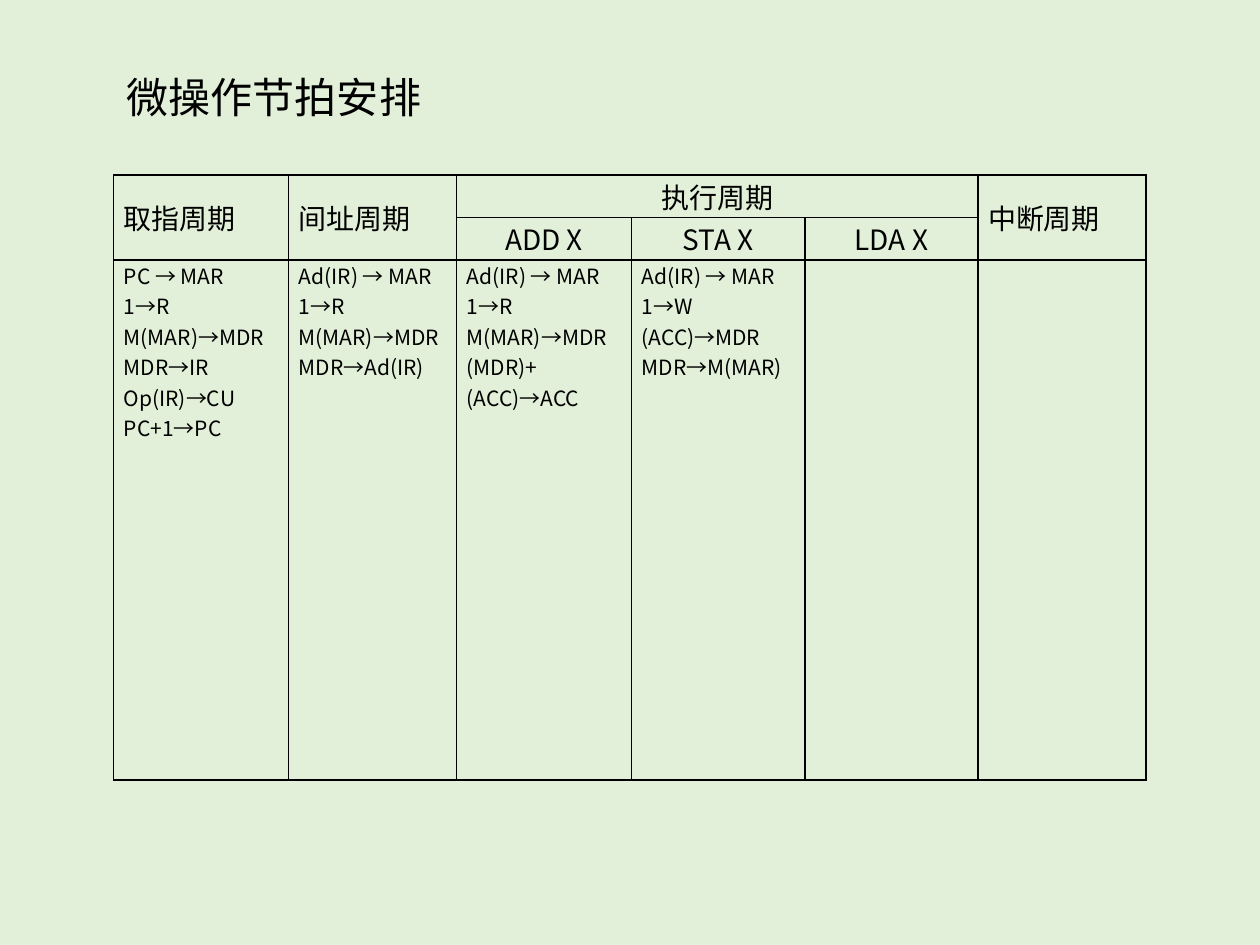
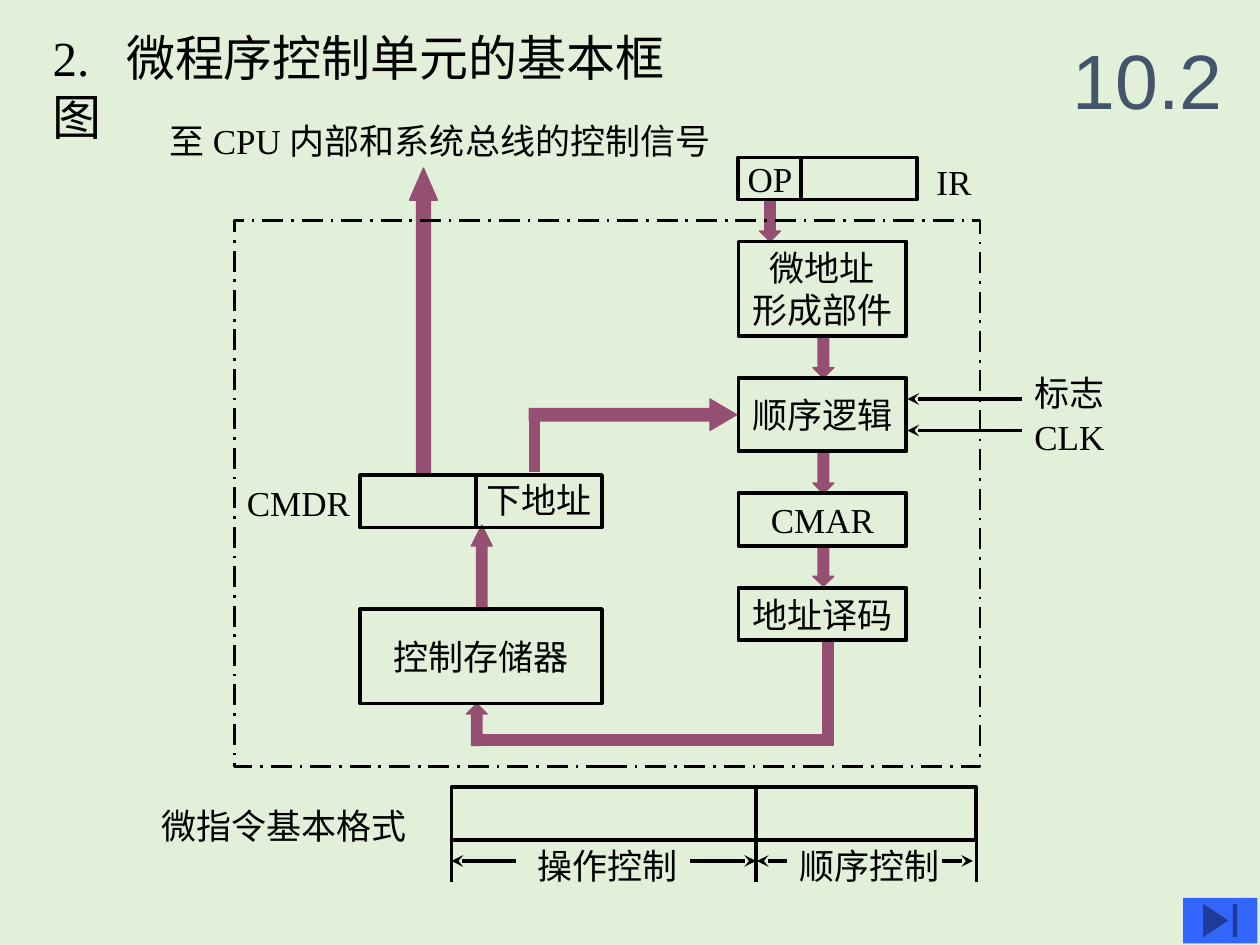
"""Build two slides: a micro-operation timing table and a microprogrammed control unit diagram."""
from lxml import etree
from pptx import Presentation
from pptx import util as u
from pptx.dml import color
from pptx.enum import dml, shapes, text
from pptx.oxml import ns

Pt = u.Pt
hue = color.RGBColor.from_string
INK, PAPER, FLOW, BUTTON, SLATE = "000000", "E2F0D9", "954F72", "3366FF", "44546A"
SANS, SERIF = "Noto Sans CJK SC", "Times New Roman"
LEFT, CENTER, JUSTIFY = text.PP_ALIGN.LEFT, text.PP_ALIGN.CENTER, text.PP_ALIGN.JUSTIFY
MIDDLE, TOP = text.MSO_ANCHOR.MIDDLE, text.MSO_ANCHOR.TOP
LABEL = {"word_wrap": False, "auto_size": text.MSO_AUTO_SIZE.SHAPE_TO_FIT_TEXT}
WRAPPED = {"word_wrap": True}
BOXED = {"word_wrap": False, "vertical_anchor": MIDDLE}


def write(frame, lines, frame_format, size=20, name=SERIF, alignment=LEFT, ink=INK):
    for key, value in frame_format.items():
        setattr(frame, key, value)
    for index, line in enumerate(lines.split("\n")):
        paragraph = frame.add_paragraph() if index else frame.paragraphs[0]
        paragraph.alignment = alignment
        run = paragraph.add_run()
        run.text = line
        for key, value in {"size": Pt(size), "name": name, "bold": False}.items():
            setattr(run.font, key, value)
        run.font.color.rgb = hue(ink)
        etree.SubElement(run.font._element, ns.qn("a:ea"), typeface=SANS)


def draw(slide, kind, box, fill=None, line=None, width=2.25):
    shape = slide.shapes.add_shape(kind, *map(Pt, box))
    shape.shadow.inherit = False
    for part, tint in ((shape.fill, fill), (shape.line.fill, line)):
        if tint:
            part.solid()
            part.fore_color.rgb = hue(tint)
        else:
            part.background()
    if line:
        shape.line.width = Pt(width)
    return shape


presentation = Presentation()
presentation.slide_width, presentation.slide_height = Pt(720), Pt(540)
timing, diagram = [presentation.slides.add_slide(presentation.slide_layouts[6]) for _ in range(2)]
for slide in (timing, diagram):
    slide.background.fill.solid()
    slide.background.fill.fore_color.rgb = hue(PAPER)

column_widths = [100, 96, 100, 99, 99, 96]
row_heights = [24.3, 24.3, 297]
table_box = (65, 100, sum(column_widths), sum(row_heights))
table = timing.shapes.add_table(3, 6, *map(Pt, table_box)).table
table.first_row = table.horz_banding = False
for column, width in zip(table.columns, column_widths):
    column.width = Pt(width)
for row, height in zip(table.rows, row_heights):
    row.height = Pt(height)
for cell in table.iter_cells():
    properties = cell._tc.get_or_add_tcPr()
    for side in ("lnL", "lnR", "lnT", "lnB"):
        border = etree.SubElement(properties, ns.qn("a:" + side), w=str(Pt(1)))
        border_fill = etree.SubElement(border, ns.qn("a:solidFill"))
        etree.SubElement(border_fill, ns.qn("a:srgbClr"), val=INK)
    cell.fill.background()
    margins = {"margin_left": 5.76, "margin_right": 5.76, "margin_top": 0, "margin_bottom": 0}
    for key, value in margins.items():
        setattr(cell, key, Pt(value))
for column in (0, 1, 5):
    table.cell(0, column).merge(table.cell(1, column))
table.cell(0, 2).merge(table.cell(0, 4))

headings = [
    (0, 0, "取指周期", JUSTIFY), (0, 1, "间址周期", JUSTIFY),
    (0, 2, "执行周期", CENTER), (0, 5, "中断周期", JUSTIFY),
    (1, 2, "ADD X", CENTER), (1, 3, "STA X", CENTER), (1, 4, "LDA X", CENTER),
]
for row, column, heading, alignment in headings:
    cell = table.cell(row, column)
    cell.vertical_anchor = MIDDLE
    write(cell.text_frame, heading, {}, 16, SANS, alignment)
operations = [
    "PC → MAR\n1→R\nM(MAR)→MDR\nMDR→IR\nOp(IR)→CU\nPC+1→PC",
    "Ad(IR) → MAR\n1→R\nM(MAR)→MDR\nMDR→Ad(IR)",
    "Ad(IR) → MAR\n1→R\nM(MAR)→MDR\n(MDR)+(ACC)→ACC",
    "Ad(IR) → MAR\n1→W\n(ACC)→MDR\nMDR→M(MAR)",
]
for column, steps in enumerate(operations):
    write(table.cell(2, column).text_frame, steps, {}, 12, SANS, JUSTIFY)

timing_title = timing.shapes.add_textbox(*map(Pt, (65.5, 37.5, 402, 36)))
write(timing_title.text_frame, "微操作节拍安排", WRAPPED, 24, SANS)

diagram_title = diagram.shapes.add_textbox(*map(Pt, (23, 12.2, 387, 41)))
title_paragraph = diagram_title.text_frame.paragraphs[0]
tabs = etree.SubElement(title_paragraph._p.get_or_add_pPr(), ns.qn("a:tabLst"))
etree.SubElement(tabs, ns.qn("a:tab"), pos=str(Pt(42)), algn="l")
write(diagram_title.text_frame, "2.\t微程序控制单元的基本框图", WRAPPED, 28)

KIND = shapes.MSO_SHAPE
arrows = [
    (KIND.DOWN_ARROW, (434, 114, 12, 24), 0.5, 0.5),
    (KIND.DOWN_ARROW, (464.5, 192, 12, 24), 0.5, 0.5),
    (KIND.DOWN_ARROW, (464.5, 258, 12, 24), 0.5, 0.5),
    (KIND.DOWN_ARROW, (464.5, 312.5, 12, 22.5), 0.5, 0.47),
    (KIND.UP_ARROW, (269.3, 300, 12, 48), 0.5, 1),
    (KIND.RIGHT_ARROW, (302.5, 228, 118.5, 18), 0.39, 0.85),
    (KIND.UP_ARROW, (266.4, 402, 12, 24), 0.5, 0.5),
    (KIND.UP_ARROW, (234, 96, 16, 174), 0.5, 1.15),
]
for kind, box, shaft, head in arrows:
    arrow = draw(diagram, kind, box, FLOW, FLOW, 0.75)
    arrow.adjustments[0], arrow.adjustments[1] = shaft, head
for box in ((302.5, 234.7, 6, 34.6), (470, 366, 6, 60), (272, 420, 198, 6)):
    draw(diagram, KIND.RECTANGLE, box, FLOW, FLOW, 0.75)

blocks = [
    ("微地址\n形成部件", (422, 138, 96, 54)),
    ("顺序逻辑", (422, 216, 96, 42)),
    ("CMAR", (422, 282, 96, 30)),
    ("地址译码", (422, 336, 96, 30)),
    ("控制存储器", (206, 348, 138, 54)),
    ("OP", (422, 90, 36, 24)),
    ("", (458, 90, 66, 24)),
    ("", (206, 271.5, 138, 30)),
    ("", (258, 450, 174, 30)),
    ("", (432, 450, 126, 30)),
]
for caption, box in blocks:
    block = draw(diagram, KIND.RECTANGLE, box, line=INK)
    if caption:
        write(block.text_frame, caption, BOXED, alignment=CENTER)
unit_frame = draw(diagram, KIND.RECTANGLE, (134, 126, 426, 312), line=INK, width=1.5)
unit_frame.line.dash_style = dml.MSO_LINE.LONG_DASH_DOT

dividers = [(272, 271.5, 272, 301)] + [(x, 474, x, 504) for x in (258, 432, 558)]
pointers = [(584, y, 518.5, y) for y in (228, 246)]
pointers += [(start, 492, end, 492) for start, end in
             ((394.5, 432), (295, 258), (538.5, 556), (449.5, 432.5))]
for ends in dividers + pointers:
    connector = diagram.shapes.add_connector(shapes.MSO_CONNECTOR.STRAIGHT, *map(Pt, ends))
    connector.line.color.rgb = hue(INK)
    connector.line.width = Pt(2.25)
    if ends in pointers:
        outline = connector.element.spPr.find(ns.qn("a:ln"))
        etree.SubElement(outline, ns.qn("a:tailEnd"), type="stealth")
    etree.SubElement(connector.element.spPr, ns.qn("a:effectLst"))

labels = [
    ("标志", (584, 209, 55, 31)),
    ("CLK", (584, 234, 58, 31)),
    ("下地址", (271, 270, 75, 31)),
    ("CMDR", (134, 271.5, 77, 31)),
    ("至 CPU 内部和系统总线的控制信号", (90, 65, 360, 31)),
    ("IR", (528, 88, 60, 31)),
    ("顺序控制", (450, 479, 94.5, 31)),
    ("操作控制", (300, 479, 94.5, 31)),
    ("微指令基本格式", (85, 456, 155, 31)),
]
for caption, box in labels:
    label = diagram.shapes.add_textbox(*map(Pt, box))
    write(label.text_frame, caption, WRAPPED if box[2] in (360, 60) else LABEL)

section = diagram.shapes.add_textbox(*map(Pt, (606, 12, 114, 66)))
write(section.text_frame, "10.2", {**WRAPPED, "vertical_anchor": MIDDLE}, 44, "Arial", ink=SLATE)
draw(diagram, KIND.ACTION_BUTTON_END, (676, 513, 42.5, 26), BUTTON)

presentation.save("out.pptx")
